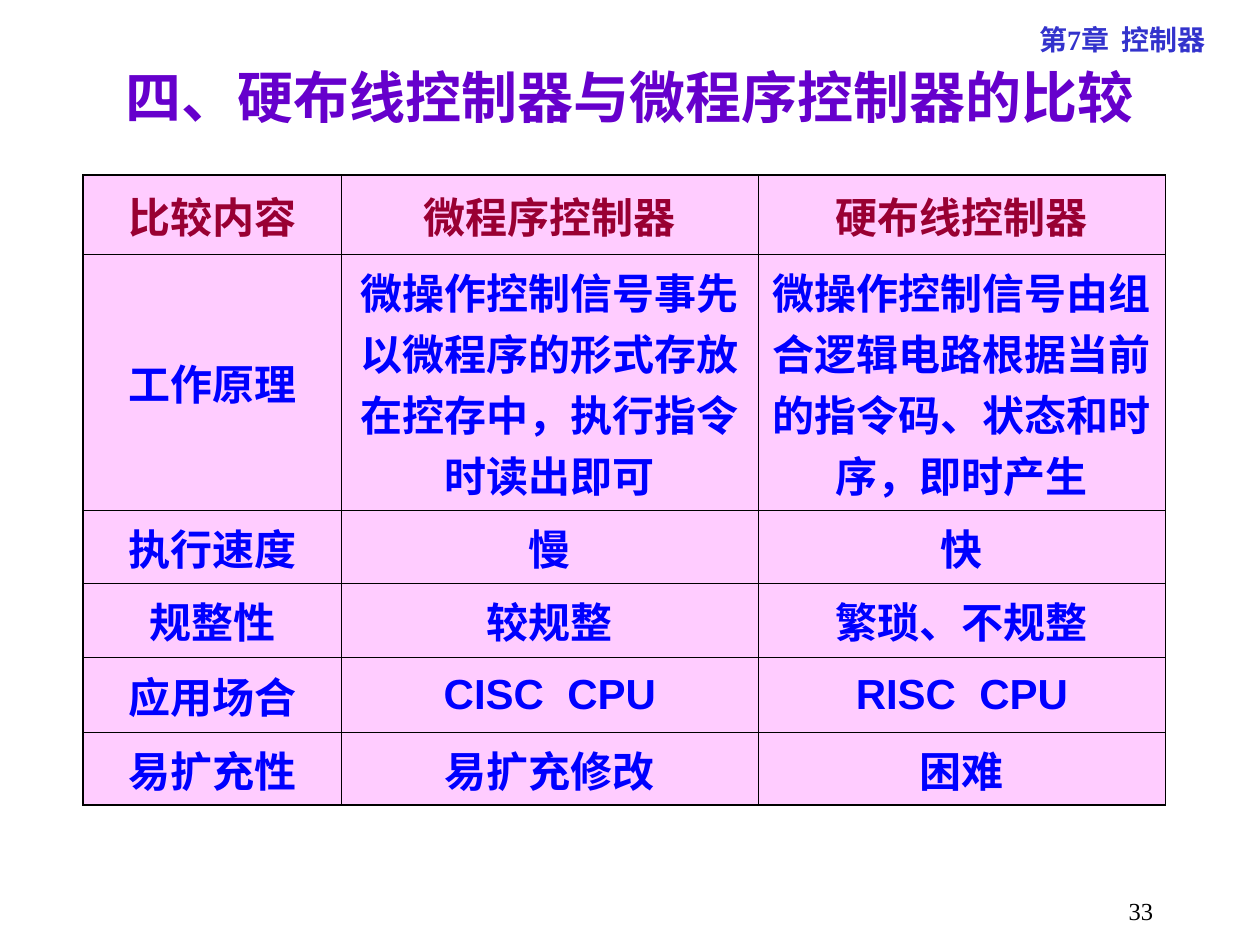
from lxml import etree
from pptx import Presentation
from pptx.dml.color import RGBColor
from pptx.enum.text import MSO_ANCHOR, PP_ALIGN
from pptx.oxml.ns import qn
from pptx.util import Inches, Pt

LEFT, CENTER, RIGHT = PP_ALIGN.LEFT, PP_ALIGN.CENTER, PP_ALIGN.RIGHT
MIDDLE = MSO_ANCHOR.MIDDLE

BLACK = RGBColor(0x00, 0x00, 0x00)
INDIGO = RGBColor(0x33, 0x33, 0xCC)
PURPLE = RGBColor(0x66, 0x00, 0xCC)
MAROON = RGBColor(0x99, 0x00, 0x33)
BLUE = RGBColor(0x00, 0x00, 0xFF)
PINK = RGBColor(0xFF, 0xCC, 0xFF)

CJK_FONT = "Noto Sans CJK SC"
OUTER, INNER = 1.08, 0.45

COL_WIDTHS = [2.05, 3.31, 3.23]
ROW_HEIGHTS = [0.63, 2.03, 0.58, 0.59, 0.59, 0.58]
COMPARISON = [
    ("比较内容", "微程序控制器", "硬布线控制器"),
    ("工作原理",
     "微操作控制信号事先以微程序的形式存放在控存中，执行指令时读出即可",
     "微操作控制信号由组合逻辑电路根据当前的指令码、状态和时序，即时产生"),
    ("执行速度", "慢", "快"),
    ("规整性", "较规整", "繁琐、不规整"),
    ("应用场合", "CISC  CPU", "RISC  CPU"),
    ("易扩充性", "易扩充修改", "困难"),
]


def write(tf, text, color, align=CENTER, **font):
    p = tf.paragraphs[0]
    p.alignment = align
    r = p.add_run()
    r.text = text
    for name, value in font.items():
        setattr(r.font, name, value)
    r.font.color.rgb = color
    ea = etree.SubElement(r.font._element, qn("a:ea"))
    ea.set("typeface", CJK_FONT)


def add_title(s, text):
    title = s.shapes.title
    title.left, title.top = Inches(0.75), Inches(0.36)
    title.width, title.height = Inches(8.5), Inches(0.8)
    title.text_frame.vertical_anchor = MIDDLE
    write(title.text_frame, text, PURPLE, size=Pt(32), name=CJK_FONT, bold=True)


def add_label(s, box, text, color, align, **font):
    sp = s.shapes.add_textbox(*(Inches(v) for v in box))
    sp.text_frame.word_wrap = True
    write(sp.text_frame, text, color, align, name="Times New Roman", **font)


def set_borders(cell, widths):
    """Draw black cell edges; widths maps L, R, T, B to points."""
    tc_pr = cell._tc.get_or_add_tcPr()
    for i, (side, width) in enumerate(widths.items()):
        ln = etree.Element(qn(f"a:ln{side}"), w=str(Pt(width)))
        fill = etree.SubElement(ln, qn("a:solidFill"))
        etree.SubElement(fill, qn("a:srgbClr"), val=str(BLACK))
        tc_pr.insert(i, ln)


def add_comparison_table(s):
    n_rows, n_cols = len(ROW_HEIGHTS), len(COL_WIDTHS)
    table = s.shapes.add_table(
        n_rows, n_cols, Inches(0.66), Inches(1.39),
        Inches(sum(COL_WIDTHS)), Inches(sum(ROW_HEIGHTS))).table
    for col, width in zip(table.columns, COL_WIDTHS):
        col.width = Inches(width)
    for i, (row, height) in enumerate(zip(table.rows, ROW_HEIGHTS)):
        row.height = Inches(height)
        for j, cell in enumerate(row.cells):
            cell.vertical_anchor = MIDDLE
            cell.fill.solid()
            cell.fill.fore_color.rgb = PINK
            write(cell.text_frame, COMPARISON[i][j], BLUE if i else MAROON,
                  size=Pt(24), name="Arial", bold=True)
            set_borders(cell, {
                "L": INNER if j else OUTER,
                "R": OUTER if j == n_cols - 1 else INNER,
                "T": INNER if i else OUTER,
                "B": OUTER if i == n_rows - 1 else INNER,
            })


def main():
    prs = Presentation()
    prs.slide_width, prs.slide_height = Inches(10), Inches(7.5)
    s = prs.slides.add_slide(prs.slide_layouts[5])
    add_label(s, (8.15, 0.13, 1.73, 0.37), "第7章  控制器", INDIGO, LEFT,
              size=Pt(16), bold=True)
    add_title(s, "四、硬布线控制器与微程序控制器的比较")
    add_comparison_table(s)
    add_label(s, (7.17, 7.06, 2.08, 0.28), "33", BLACK, RIGHT, size=Pt(14))
    prs.save("out.pptx")


if __name__ == "__main__":
    main()
